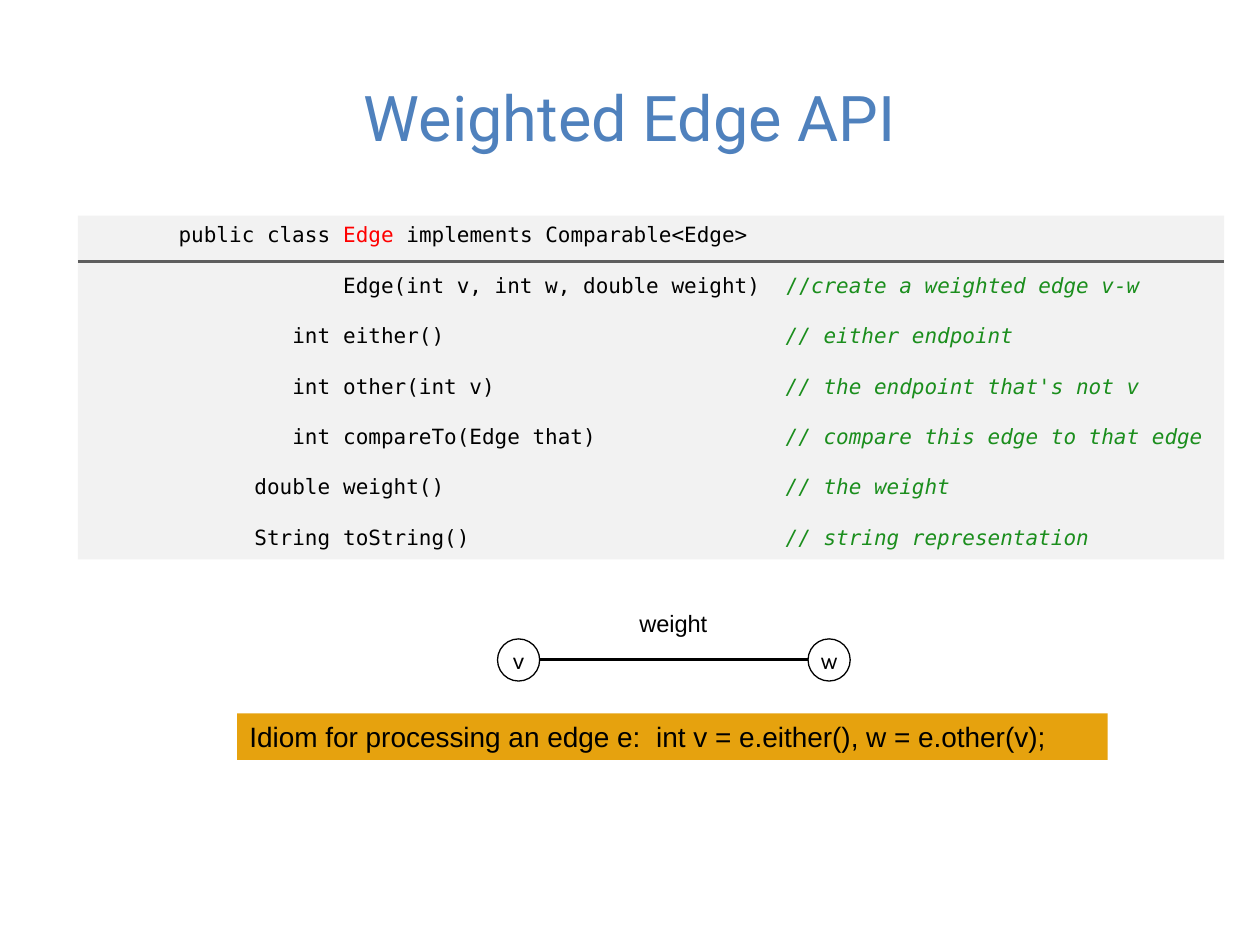
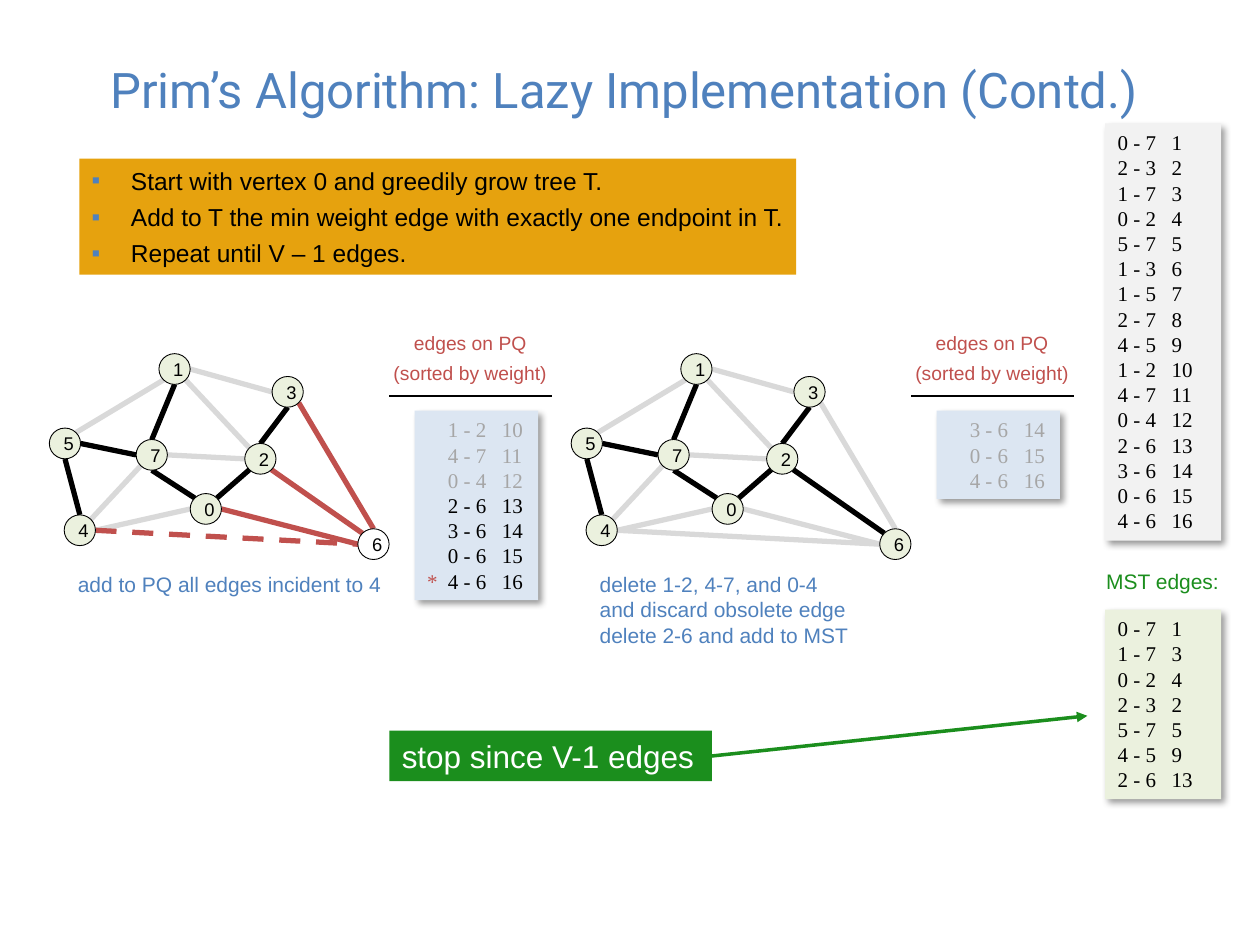
from math import cos, radians, sin

from lxml import etree
from pptx import Presentation
from pptx.dml.color import RGBColor
from pptx.enum.dml import MSO_LINE
from pptx.enum.shapes import MSO_CONNECTOR, MSO_SHAPE
from pptx.enum.text import MSO_ANCHOR, PP_ALIGN
from pptx.oxml.ns import qn
from pptx.util import Cm, Pt

RECT, OVAL = MSO_SHAPE.RECTANGLE, MSO_SHAPE.OVAL
LINE, DASH = MSO_CONNECTOR.STRAIGHT, MSO_LINE.DASH
LEFT, MID = PP_ALIGN.LEFT, PP_ALIGN.CENTER
TOP, HALF = MSO_ANCHOR.TOP, MSO_ANCHOR.MIDDLE

BLACK = RGBColor(0x00, 0x00, 0x00)
WHITE = RGBColor(0xFF, 0xFF, 0xFF)
BLUE = RGBColor(0x4F, 0x81, 0xBD)
RED = RGBColor(0xC0, 0x50, 0x4D)
PURE = RGBColor(0xFF, 0x00, 0x00)
GREEN = RGBColor(0x1B, 0x8E, 0x1D)
GOLD = RGBColor(0xE6, 0xA2, 0x0E)
PALE = RGBColor(0xF2, 0xF2, 0xF2)
ICE = RGBColor(0xDC, 0xE6, 0xF2)
MINT = RGBColor(0xEB, 0xF1, 0xDE)
MIST = RGBColor(0xD9, 0xD9, 0xD9)
GREY = RGBColor(0xA6, 0xA6, 0xA6)
SLATE = RGBColor(0x5E, 0x5E, 0x5E)

SANS, SERIF, MONO, HEAD = "Arial", "Times New Roman", "DejaVu Sans Mono", "Roboto"

# Content of slide 1: type, member, comment mark, comment
API = [
    ("", "Edge(int v, int w, double weight)", "//", "create a weighted edge v-w"),
    ("int", "either()", "", "// either endpoint"),
    ("int", "other(int v)", "", "// the endpoint that's not v"),
    ("int", "compareTo(Edge that)", "", "// compare this edge to that edge"),
    ("double", "weight()", "", "// the weight"),
    ("String", "toString()", "", "// string representation"),
]
IDIOM = "Idiom for processing an edge e:\tint v = e.either(), w = e.other(v);"

# Content of slide 2
STEPS = [
    "Start with vertex 0 and greedily grow tree T.",
    "Add to T the min weight edge with exactly one endpoint in T.",
    "Repeat until V – 1 edges.",
]
# Vertex centres in cm
NODES = {
    "0": (4.15, 10.26), "1": (3.52, 7.44), "2": (5.25, 9.25), "3": (5.8, 7.9),
    "4": (1.61, 10.69), "5": (1.31, 8.94), "6": (7.53, 10.97), "7": (3.06, 9.17),
}
# Edges by rising weight 1, 2, 3 ..., with the side each end touches
EDGES = [
    ("0 - 7", "nw", "s"), ("2 - 3", "n", "s"), ("1 - 7", "s", "n"),
    ("0 - 2", "ne", "sw"), ("5 - 7", "e", "w"), ("1 - 3", "e", "w"),
    ("1 - 5", "sw", "ne"), ("2 - 7", "w", "e"), ("4 - 5", "n", "s"),
    ("1 - 2", "se", "nw"), ("4 - 7", "ne", "sw"), ("0 - 4", "w", "e"),
    ("2 - 6", "se", "nw"), ("3 - 6", "se", "n"), ("0 - 6", "e", "w"),
    ("4 - 6", "e", "w"),
]
NAMES = [name for name, *_ in EDGES]
TREE = ["0 - 7", "1 - 7", "0 - 2", "2 - 3", "5 - 7", "4 - 5", "2 - 6"]
STAGES = [
    dict(tree=TREE[:-1], queue=NAMES[9:], dead=NAMES[9:12], fresh="4 - 6",
         open="6", note=["add to PQ all edges incident to 4"]),
    dict(tree=TREE, queue=NAMES[13:], dead=NAMES[13:], fresh="", open="",
         note=["delete 1-2, 4-7, and 0-4", "and discard obsolete edge",
               "delete 2-6 and add to MST"]),
]
SHIFT = 10.52    # from one stage to the next
SIDES = ["e", "se", "s", "sw", "w", "nw", "n", "ne"]
WIDE, HIGH = 0.63, 0.62    # vertex size

deck = Presentation()
deck.slide_width, deck.slide_height = Cm(25.4), Cm(19.05)


def text(shape, paras, size=12, font=SANS, color=BLACK, align=LEFT, anchor=TOP,
         gap=0, tabs=(), bullet=None, wrap=True, inset=None):
    """Fill a shape; a paragraph is a string or a list of (text, colour, italic)."""
    frame = shape.text_frame
    frame.word_wrap, frame.vertical_anchor = wrap, anchor
    if inset is not None:
        frame.margin_left = frame.margin_right = Cm(inset)
        frame.margin_top = frame.margin_bottom = Cm(inset)
    if bullet:
        frame.margin_right = 0    # room for the longest point on one line
    for i, runs in enumerate(paras):
        para = frame.paragraphs[0] if i == 0 else frame.add_paragraph()
        props = para._p.get_or_add_pPr()
        if bullet:
            props.set("marL", str(Cm(0.79)))
            props.set("indent", str(-Cm(0.79)))
            tint = etree.SubElement(props, qn("a:buClr"))
            etree.SubElement(tint, qn("a:srgbClr"), val=str(BLUE))
            etree.SubElement(props, qn("a:buFont"), typeface=font)
            etree.SubElement(props, qn("a:buChar"), char=bullet)
        if tabs:
            stops = etree.SubElement(props, qn("a:tabLst"))
            for pos, kind in tabs:
                etree.SubElement(stops, qn("a:tab"), pos=str(Cm(pos)), algn=kind)
        para.alignment = align
        if len(paras) > 1:
            para.line_spacing = Pt(size * 1.2)
        if i and gap:
            para.space_before = Pt(gap)
        if isinstance(runs, str):
            runs = [(runs, color, False)]
        for words, tone, slant in runs:
            run = para.add_run()
            run.text = words
            run.font.size, run.font.name = Pt(size), font
            run.font.color.rgb, run.font.italic = tone, slant


def label(slide, x, y, w, h, paras, **form):
    text(slide.shapes.add_textbox(Cm(x), Cm(y), Cm(w), Cm(h)), paras, **form)


def block(slide, x, y, w, h, fill, kind=RECT, edge=None, shade=False):
    shape = slide.shapes.add_shape(kind, Cm(x), Cm(y), Cm(w), Cm(h))
    shape.shadow.inherit = False
    shape.fill.solid()
    shape.fill.fore_color.rgb = fill
    if edge:
        shape.line.color.rgb, shape.line.width = BLACK, Pt(edge)
    else:
        shape.line.fill.background()
    if shade:
        glow = etree.SubElement(
            shape._element.spPr.find(qn("a:effectLst")), qn("a:outerShdw"),
            blurRad=str(Pt(4)), dist=str(Pt(3)), dir="2700000", algn="tl")
        tint = etree.SubElement(glow, qn("a:srgbClr"), val=str(BLACK))
        etree.SubElement(tint, qn("a:alpha"), val="40000")
    return shape


def line(slide, start, end, color=BLACK, width=0.75, dash=None, arrow=False):
    link = slide.shapes.add_connector(LINE, *(Cm(n) for n in (*start, *end)))
    link.line.color.rgb, link.line.width = color, Pt(width)
    if dash:
        link.line.dash_style = dash
    if arrow:
        etree.SubElement(link.line._get_or_add_ln(), qn("a:tailEnd"), type="triangle")
    etree.SubElement(link._element.spPr, qn("a:effectLst"))


def page(title, y, size):
    slide = deck.slides.add_slide(deck.slide_layouts[6])
    label(slide, 1.27, y, 22.86, 3.18, [title], size=size, font=HEAD,
          color=BLUE, align=MID, anchor=HALF)
    return slide


def table(slide, x, y, w, fill, paras, tabs):
    """Shaded list of edges, as high as its rows."""
    box = block(slide, x, y, w, 0.25 + 0.51 * len(paras), fill, shade=True)
    text(box, paras, font=SERIF, tabs=tabs)


def weigh(name):
    return f"{name}\t{NAMES.index(name) + 1}"


def rim(name, side, dx):
    """Point where an edge meets its vertex."""
    x, y = NODES[name]
    turn = radians(45 * SIDES.index(side))
    return x + dx + WIDE / 2 * cos(turn), y + HIGH / 2 * sin(turn)


def graph(slide, dx, stage):
    live = [name for name in stage["queue"] if name not in stage["dead"]]
    for name, side, other in EDGES:
        color = BLACK if name in stage["tree"] else RED if name in live else MIST
        head, tail = name.split(" - ")
        line(slide, rim(head, side, dx), rim(tail, other, dx), color, 3,
             DASH if name == stage["fresh"] else None)
    for name, (x, y) in NODES.items():
        fill = WHITE if name == stage["open"] else MINT
        dot = block(slide, x + dx - WIDE / 2, y - HIGH / 2, WIDE, HIGH, fill, OVAL, 0.5)
        text(dot, [name], size=10.5, align=MID, anchor=HALF)


def queue(slide, dx, stage):
    label(slide, 7.67 + dx, 6.53, 3.73, 1.35, ["edges on PQ ", "(sorted by weight) "],
          size=11, color=RED, align=MID, anchor=HALF, gap=4, wrap=False)
    line(slide, (7.85 + dx, 7.98), (11.13 + dx, 7.98))
    rows = []
    for name in stage["queue"]:
        star = "*" if name == stage["fresh"] else ""
        tone = GREY if name in stage["dead"] else BLACK
        rows.append([(star + "\t", RED, False), (weigh(name), tone, False)])
    table(slide, 8.36 + dx, 8.28, 2.49, ICE, rows, [(0.42, "l"), (1.51, "l")])


# Slide 1: the class and its members
slide = page("Weighted Edge API", 0.76, 36)
rows = [[("\tpublic class\t", BLACK, False), ("Edge ", PURE, False),
         ("implements Comparable<Edge>", BLACK, False)]]
for kind, member, mark, remark in API:
    rows.append([(f"\t{kind}\t{member}\t", BLACK, False)]
                + ([(mark, GREEN, False)] if mark else [])
                + [(remark, GREEN, True)])
text(block(slide, 1.57, 4.35, 23.11, 6.93, PALE), rows, font=MONO, gap=14.4,
     tabs=[(4.84, "r"), (5.1, "l"), (14.02, "l")])
line(slide, (1.57, 5.27), (24.68, 5.27), SLATE, 1.5)

# One edge between two vertices
line(slide, (10.45, 13.29), (16.72, 13.29), width=1.5)
for name, x in (("v", 10.03), ("w", 16.29)):
    dot = block(slide, x, 12.88, 0.85, 0.85, WHITE, OVAL, 0.75)
    text(dot, [name], size=13.5, font="Karla", align=MID, anchor=HALF, inset=0)
label(slide, 12.89, 12.28, 1.8, 0.6, ["weight"], size=13.5, inset=0)
text(block(slide, 4.78, 14.38, 17.55, 0.94, GOLD), [IDIOM], size=16,
     anchor=HALF, tabs=[(8.2, "l")])

# Slide 2: the rule, then two stages side by side
slide = page("Prim’s Algorithm: Lazy Implementation (Contd.) ", 0.2, 28)
text(block(slide, 1.6, 3.2, 14.45, 2.34, GOLD), STEPS, size=14, anchor=HALF,
     gap=4, bullet="▪")
for i, stage in enumerate(STAGES):
    graph(slide, i * SHIFT, stage)
    queue(slide, i * SHIFT, stage)
    label(slide, 1.32 + i * SHIFT, 11.4, 6.68, 0.25 + 0.51 * len(stage["note"]),
          stage["note"], color=BLUE)

# All edges, and those in the tree
for y, fill, names in ((2.49, PALE, NAMES), (12.29, MINT, TREE)):
    table(slide, 22.28, y, 2.34, fill, [weigh(name) for name in names], [(1.09, "l")])
label(slide, 22.05, 11.33, 2.84, 0.76, ["MST edges:"], color=GREEN)

# Stop mark
text(block(slide, 7.85, 14.73, 6.5, 1.02, GREEN), ["stop since V-1 edges"], size=18,
     color=WHITE, anchor=HALF)
line(slide, (14.35, 15.24), (21.92, 14.43), GREEN, 2, arrow=True)

deck.save("out.pptx")
